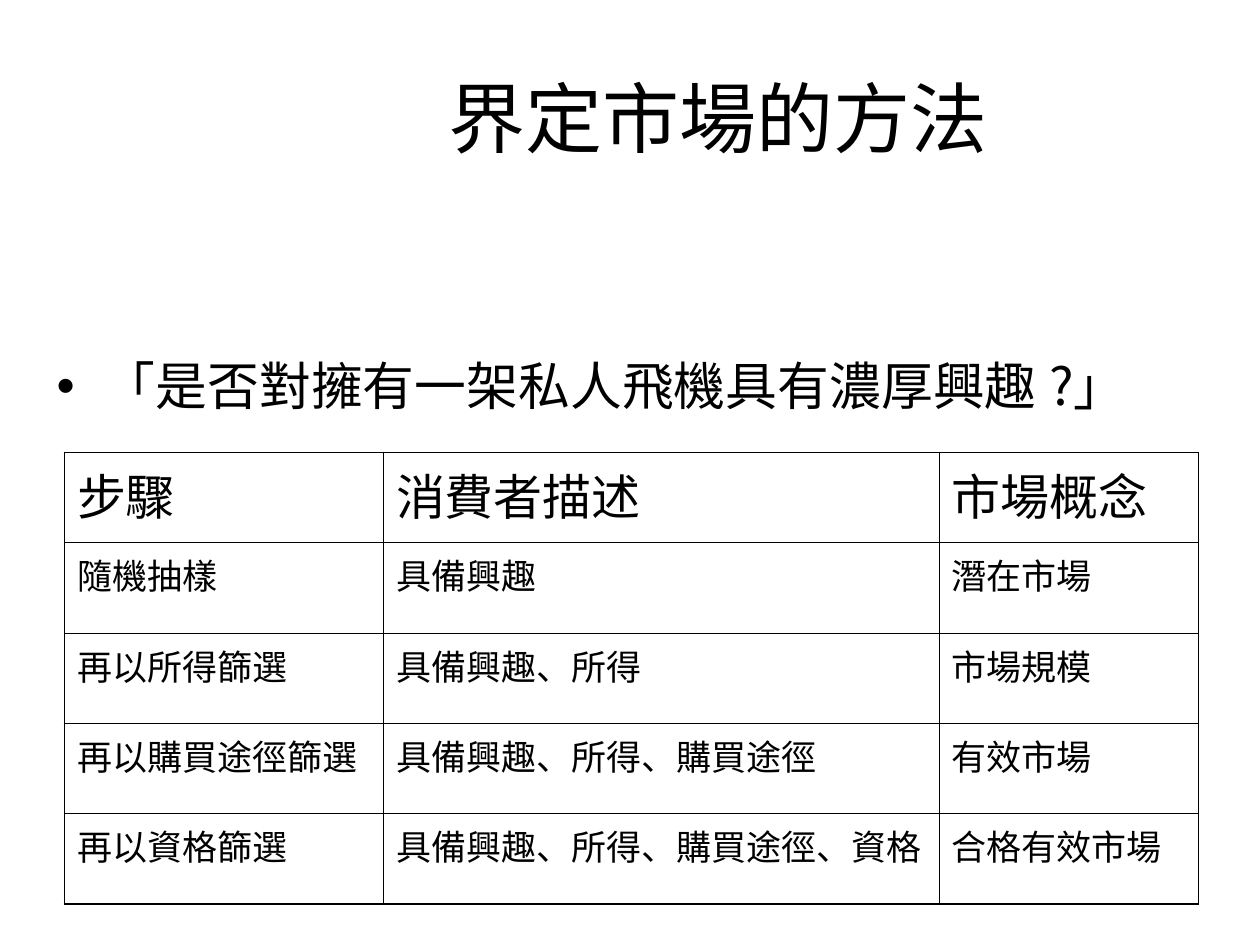
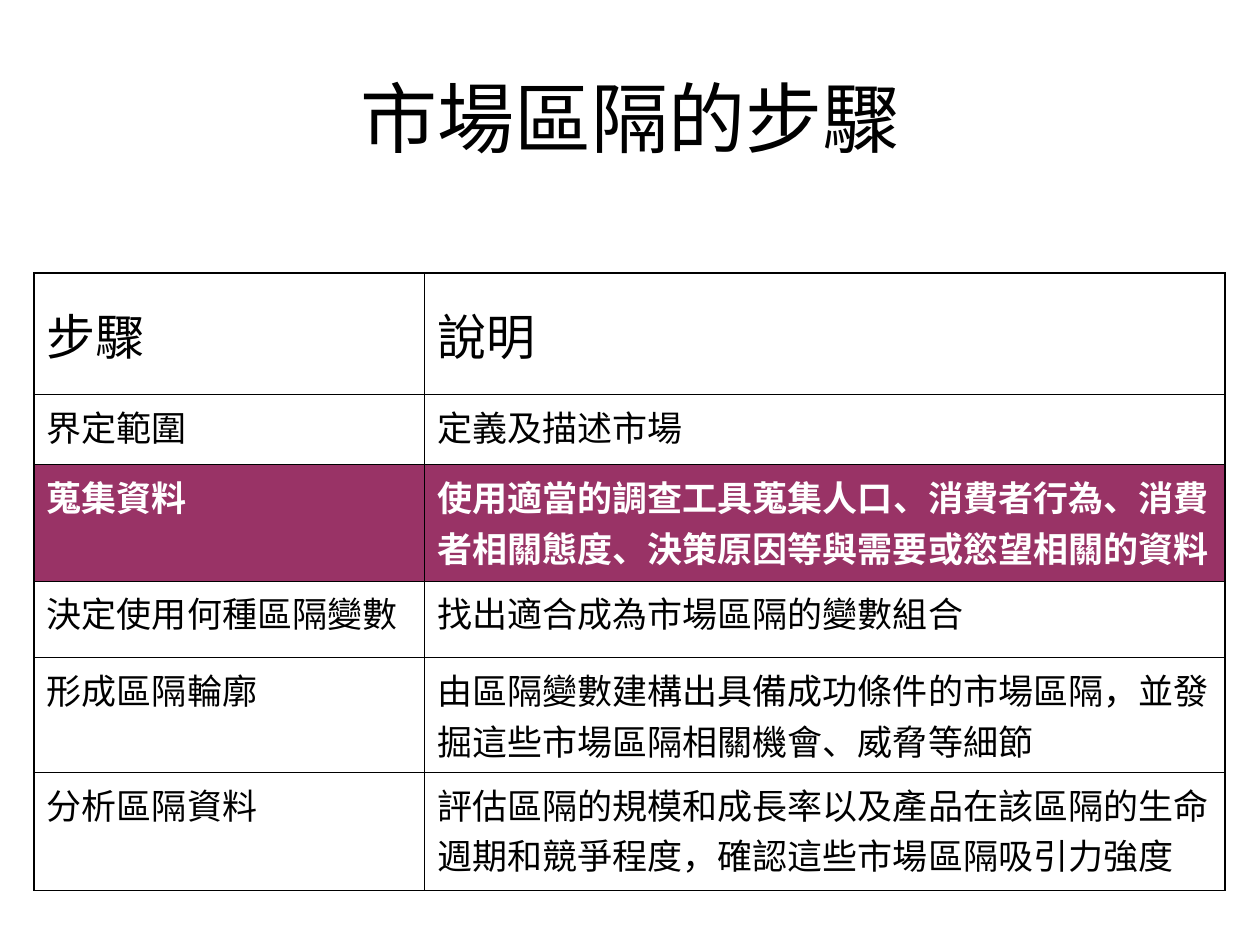
import lxml.etree
import pptx
import pptx.dml.color
import pptx.enum.text
import pptx.oxml.ns
import pptx.util

Cm, Pt = pptx.util.Cm, pptx.util.Pt

# Theme shared by both slides
THEME = {
    "black": "000000", "white": "FFFFFF", "highlight": "993366",
    "latin": "Arial", "chinese": "Noto Sans CJK TC", "simplified": "Noto Sans CJK SC",
    "title_size": 44, "body_size": 29.6, "header_size": 28, "cell_size": 20,
    "outer_line": 1.08, "inner_line": 0.45,
}

# Content: a cell given as a tuple alternates between the Latin and Chinese fonts
SLIDES = [
    {
        "layout": 1,
        "title": "界定市場的方法",
        "title_font": THEME["latin"],
        "title_box": (6.1, 0.76, 16.76, 3.18),
        "body": "「是否對擁有一架私人飛機具有濃厚興趣 ?」",
        "body_box": (0.89, 7.14, 24.51, 2.21),
        "table": {
            "corner": (1.3, 9.12),
            "columns": [6.43, 11.2, 5.23],
            "rows": [1.82] * 5,
            "first_column_font": THEME["latin"],
            "header_anchor": pptx.enum.text.MSO_ANCHOR.TOP,
            "highlight_row": None,
            "cells": [
                ["步驟", "消費者描述", "市場概念"],
                ["隨機抽樣", "具備興趣", "潛在市場"],
                ["再以所得篩選", "具備興趣、所得", "市場規模"],
                ["再以購買途徑篩選", "具備興趣、所得、購買途徑", "有效市場"],
                ["再以資格篩選", "具備興趣、所得、購買途徑、資格", "合格有效市場"],
            ],
        },
    },
    {
        "layout": 5,
        "title": "市場區隔的步驟",
        "title_font": THEME["simplified"],
        "title_box": (1.27, 0.76, 22.86, 3.18),
        "table": {
            "corner": (0.69, 5.51),
            "columns": [7.87, 16.13],
            "rows": [2.44, 1.42, 2.34, 1.55, 2.08, 2.39],
            "first_column_font": THEME["chinese"],
            "header_anchor": pptx.enum.text.MSO_ANCHOR.MIDDLE,
            "highlight_row": 2,
            "cells": [
                ["步驟", "說明"],
                ["界定範圍", "定義及描述市場"],
                ["蒐集資料", ("使用", "適當的調查工具蒐集人口",
                          "、消費者行為、消費者相關態度、決策原因等與需要或慾望相關的資料")],
                ["決定使用何種區隔變數", "找出適合成為市場區隔的變數組合"],
                ["形成區隔輪廓", ("由", "區隔變數建構出具備成功條件的市場區隔",
                            "，並發掘這些市場區隔相關機會、威脅等細節")],
                ["分析區隔資料",
                 "評估區隔的規模和成長率以及產品在該區隔的生命週期和競爭程度，確認這些市場區隔吸引力強度"],
            ],
        },
    },
]


# Formatting helpers
def apply_format(target, values):
    for name, value in values.items():
        setattr(target, name, value)


def rgb(name):
    return pptx.dml.color.RGBColor.from_string(THEME[name])


def add_element(parent, tag, **attributes):
    return lxml.etree.SubElement(parent, pptx.oxml.ns.qn(tag), attributes)


def add_run(paragraph, text, font, size, color="black", bold=False):
    run = paragraph.add_run()
    run.text = text
    apply_format(run.font, {"name": font, "size": Pt(size), "bold": bold})
    run.font.color.rgb = rgb(color)
    add_element(run.font._element, "a:ea", typeface=THEME["chinese"])


def place(shape, box):
    apply_format(shape, dict(zip(("left", "top", "width", "height"), map(Cm, box))))
    apply_format(shape.text_frame, {"word_wrap": True,
                                    "auto_size": pptx.enum.text.MSO_AUTO_SIZE.NONE})


def add_borders(cell, outer_sides):
    properties = cell._tc.get_or_add_tcPr()
    for side in "LRTB":
        width = THEME["outer_line" if side in outer_sides else "inner_line"]
        line = add_element(properties, f"a:ln{side}", w=str(Pt(width)))
        fill = add_element(line, "a:solidFill")
        add_element(fill, "a:srgbClr", val=THEME["black"])


# Slide parts
def fill_title(slide, content):
    title = slide.shapes.title
    place(title, content["title_box"])
    title.text_frame.vertical_anchor = pptx.enum.text.MSO_ANCHOR.MIDDLE
    paragraph = title.text_frame.paragraphs[0]
    paragraph.alignment = pptx.enum.text.PP_ALIGN.CENTER
    add_run(paragraph, content["title"], content["title_font"], THEME["title_size"])


def fill_body(slide, content):
    body = slide.placeholders[1]
    place(body, content["body_box"])
    paragraph = body.text_frame.paragraphs[0]
    apply_format(paragraph, {"line_spacing": 0.9, "space_before": Pt(8)})
    indent = Cm(0.95)
    properties = paragraph._p.get_or_add_pPr()
    properties.set("marL", str(indent))
    properties.set("indent", str(-indent))
    add_run(paragraph, content["body"], THEME["simplified"], THEME["body_size"])


def add_grid(slide, grid):
    columns, rows, cells = grid["columns"], grid["rows"], grid["cells"]
    table = slide.shapes.add_table(len(rows), len(columns), *map(Cm, grid["corner"]),
                                   Cm(sum(columns)), Cm(sum(rows))).table
    apply_format(table, {"first_row": False, "horz_banding": False})
    for column, width in zip(table.columns, columns):
        column.width = Cm(width)
    for row, height in zip(table.rows, rows):
        row.height = Cm(height)

    for row_index, texts in enumerate(cells):
        header = row_index == 0
        highlighted = row_index == grid["highlight_row"]
        size = THEME["header_size" if header else "cell_size"]
        for column_index, text in enumerate(texts):
            cell = table.cell(row_index, column_index)
            edges = {"L": column_index == 0, "R": column_index == len(columns) - 1,
                     "T": header, "B": row_index == len(rows) - 1}
            add_borders(cell, [side for side, outer in edges.items() if outer])
            cell.fill.solid()
            cell.fill.fore_color.rgb = rgb("highlight" if highlighted else "white")
            if header:
                cell.vertical_anchor = grid["header_anchor"]
            paragraph = cell.text_frame.paragraphs[0]
            paragraph.space_before = Pt(7 if header else 5)
            fonts = (THEME["latin"], THEME["chinese"])
            if column_index == 0:
                fonts = (grid["first_column_font"],)
            parts = text if isinstance(text, tuple) else (text,)
            for part_index, part in enumerate(parts):
                add_run(paragraph, part, fonts[part_index % len(fonts)], size,
                        "white" if highlighted else "black", highlighted)


def main():
    presentation = pptx.Presentation()
    apply_format(presentation, {"slide_width": Cm(25.4), "slide_height": Cm(19.05)})
    for content in SLIDES:
        slide = presentation.slides.add_slide(presentation.slide_layouts[content["layout"]])
        fill_title(slide, content)
        if "body" in content:
            fill_body(slide, content)
        add_grid(slide, content["table"])
    presentation.save("out.pptx")


if __name__ == "__main__":
    main()
